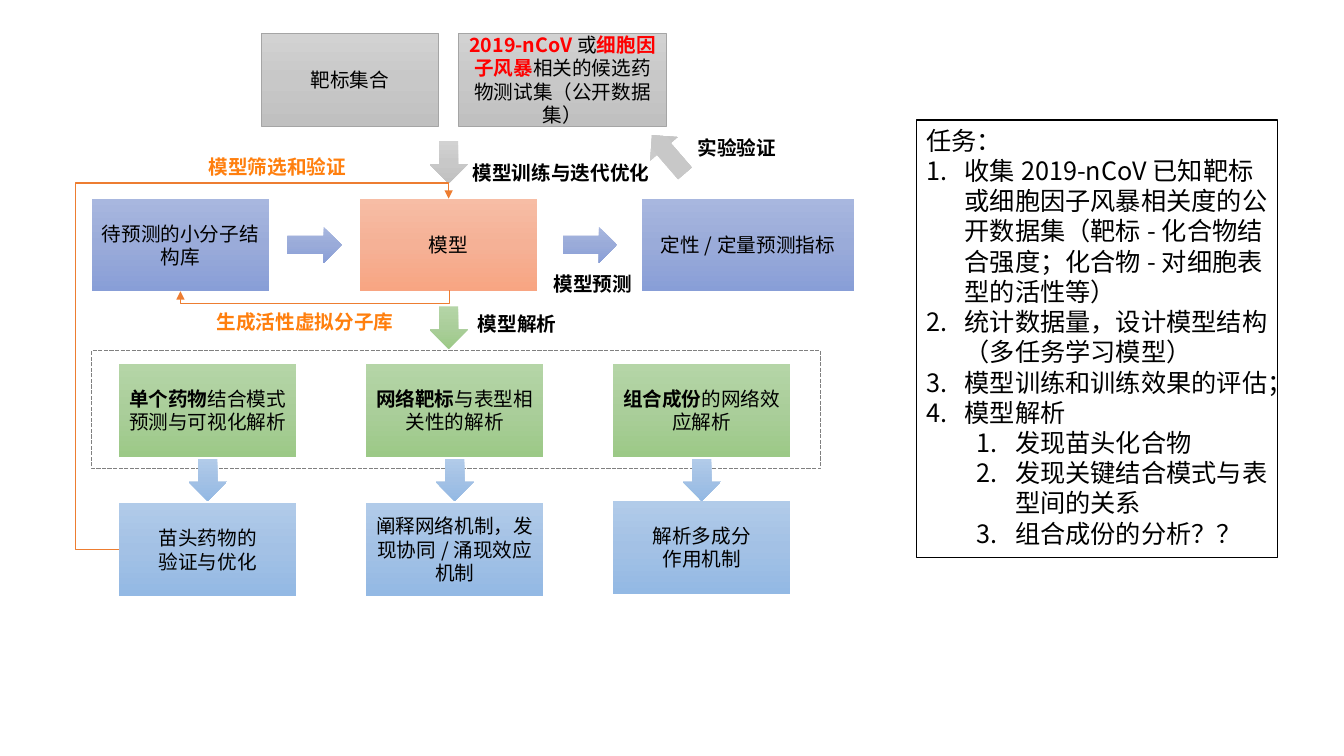
import copy

import lxml.etree
import pptx
import pptx.dml.color
import pptx.enum.dml
import pptx.enum.shapes
import pptx.enum.text
import pptx.oxml
import pptx.oxml.ns
import pptx.util

SCALE = 9144  # EMU in one px, 100 px to the inch
FONT = "Noto Sans CJK SC"
COLOURS = {
    "black": "000000", "white": "FFFFFF", "red": "FF0000", "label": "FF7F0E",
    "loop": "ED7D31", "frame": "808080", "edge": "A5A5A5",
}
GRADIENTS = {
    "grey": ("D2D2D2", "C8C8C8", "C0C0C0"),
    "orange": ("F7BDA5", "F5B196", "F8A582"),
    "indigo": ("A8B7DF", "9AABD9", "889ED7"),
    "green": ("B5D5A7", "AACE9A", "9CC987"),
    "blue": ("B1CBE9", "A3C1E5", "93B9E4"),
}
SHAPE = pptx.enum.shapes.MSO_SHAPE
ALIGN = pptx.enum.text.PP_ALIGN
BOX_WIDTH, BOX_HEIGHT = 176, 92
ARROW_DOWN, ARROW_RIGHT = (38, 42), (54, 36)
BOLD, RED = {"bold": True}, {"bold": True, "colour": "red"}


def px(*lengths):
    return [pptx.util.Emu(length * SCALE) for length in lengths]


def rgb(name):
    return pptx.dml.color.RGBColor.from_string(COLOURS.get(name, name))


def child(parent, tag, **attributes):
    return lxml.etree.SubElement(parent, pptx.oxml.ns.qn(tag), **attributes)


def add_span(para, text, size=14, bold=False, colour="black"):
    span = para.add_run()
    span.text = text
    span.font.size = pptx.util.Pt(size)
    span.font.bold = bold
    span.font.color.rgb = rgb(colour)
    span.font.name = FONT
    child(span.font._element, "a:ea", typeface=FONT)


def write(shape, paragraphs, align=ALIGN.LEFT, **style):
    """Each paragraph is a string or a list of (text, style) spans."""
    frame = shape.text_frame
    frame.word_wrap = True
    for index, content in enumerate(paragraphs):
        para = frame.paragraphs[0] if index == 0 else frame.add_paragraph()
        para.alignment = align
        spans = [(content, {})] if isinstance(content, str) else content
        for text, extra in spans:
            add_span(para, text, **{**style, **extra})
    return frame


def add_block(page, kind, left, top, size, gradient=None, rotation=0):
    block = page.shapes.add_shape(kind, *px(left, top, *size))
    block.shadow.inherit = False
    block.rotation = rotation
    block.line.fill.background()
    if gradient is None:
        block.fill.background()
        return block
    block.fill.gradient()
    block.fill.gradient_angle = 270
    stop_list = block._element.spPr.find(".//" + pptx.oxml.ns.qn("a:gsLst"))
    stop_list.insert(1, copy.deepcopy(stop_list[0]))
    for index, stop in enumerate(block.fill.gradient_stops):
        stop.position = index / 2
        stop.color.rgb = rgb(GRADIENTS[gradient][index])
    return block


def add_box(page, left, top, gradient, paragraphs, width=BOX_WIDTH):
    box = add_block(page, SHAPE.RECTANGLE, left, top, (width, BOX_HEIGHT), gradient)
    frame = write(box, paragraphs, align=ALIGN.CENTER)
    frame.vertical_anchor = pptx.enum.text.MSO_ANCHOR.MIDDLE
    return box


def add_label(page, left, top, width, text, colour="black"):
    label = page.shapes.add_textbox(*px(left, top, width, 36))
    frame = write(label, [text], bold=True, colour=colour)
    frame.auto_size = pptx.enum.text.MSO_AUTO_SIZE.SHAPE_TO_FIT_TEXT


def add_loop(page, start, end, preset, frame, turn, flip, adjustments):
    """Joins two (box, side) pairs with a bent arrow laid out in the given frame."""
    loop = page.shapes.add_connector(pptx.enum.shapes.MSO_CONNECTOR.ELBOW, 0, 0, 0, 0)
    loop.begin_connect(*start)
    loop.end_connect(*end)
    loop.left, loop.top, loop.width, loop.height = px(*frame)
    properties = loop._element.spPr
    transform = properties.find(pptx.oxml.ns.qn("a:xfrm"))
    for name in ("flipH", "flipV"):
        transform.attrib.pop(name, None)
    transform.set("rot", str(turn * 60000))
    if flip:
        transform.set("flipH", "1")
    geometry = properties.find(pptx.oxml.ns.qn("a:prstGeom"))
    geometry.set("prst", preset)
    for old in list(geometry):
        geometry.remove(old)
    guides = child(geometry, "a:avLst")
    for index, value in enumerate(adjustments, 1):
        child(guides, "a:gd", name=f"adj{index}", fmla=f"val {round(value * 100000)}")
    loop.line.color.rgb = rgb("loop")
    loop.line.width = pptx.util.Pt(1)
    child(loop.line._get_or_add_ln(), "a:tailEnd", type="triangle")
    child(properties, "a:effectLst")


def draw_inputs(page, left, top):
    """Data sets that train the model, with the arrows around them."""
    test_set = [("2019-nCoV", RED), ("或", {}), ("细胞因子风暴", RED),
                ("相关的候选药物测试集（公开数据集）", {})]
    boxes = [add_box(page, left, top, "grey", ["靶标集合"]),
             add_box(page, left + 196, top, "grey", [test_set], width=206)]
    for box in boxes:
        box.line.color.rgb = rgb("edge")
        box.line.width = pptx.util.Pt(0.5)
    add_block(page, SHAPE.DOWN_ARROW, left + 167, top + 107, ARROW_DOWN, "grey")
    add_label(page, left + 200, top + 122, 218, "模型训练与迭代优化")
    add_block(page, SHAPE.RIGHT_ARROW, left + 379, top + 102, (50, 36), "grey", 229.2)
    add_label(page, left + 423, top + 97, 102, "实验验证")


def draw_prediction(page, left, top):
    """Library, model and predicted measures, from left to right."""
    model = add_box(page, left + 266, top, "orange", ["模型"])
    library = add_box(page, left, top, "indigo", ["待预测的小分子结构库"])
    add_box(page, left + 546, top, "indigo", ["定性/定量预测指标"], width=210)
    for offset in (194, 467):
        add_block(page, SHAPE.RIGHT_ARROW, left + offset, top + 28, ARROW_RIGHT, "indigo")
    add_label(page, left + 448, top + 68, 138, "模型预测")
    add_block(page, SHAPE.DOWN_ARROW, left + 335, top + 107, ARROW_DOWN, "green")
    add_label(page, left + 373, top + 108, 138, "模型解析")
    return library, model


def draw_analysis(page, left, top):
    """Three analyses in a dashed frame, each leading to its outcome."""
    columns = [
        ("单个药物", "结合模式预测与可视化解析", ["苗头药物的", "验证与优化"], 151),
        ("网络靶标", "与表型相关性的解析", ["阐释网络机制，发现协同/涌现效应机制"], 151),
        ("组合成份", "的网络效应解析", ["解析多成分", "作用机制"], 149),
    ]
    frame = add_block(page, SHAPE.RECTANGLE, left, top, (723, 117))
    frame.line.color.rgb = rgb("frame")
    frame.line.width = pptx.util.Pt(1)
    frame.line.dash_style = pptx.enum.dml.MSO_LINE.SQUARE_DOT
    outcomes = []
    for index, (subject, rest, outcome, drop) in enumerate(columns):
        column = left + 27 + 245 * index
        add_box(page, column, top + 13, "green", [[(subject, BOLD), (rest, {})]])
        middle = column + (BOX_WIDTH - ARROW_DOWN[0]) // 2
        add_block(page, SHAPE.DOWN_ARROW, middle, top + 107, ARROW_DOWN, "blue")
        outcomes.append(add_box(page, column, top + drop, "blue", outcome))
    return outcomes[0]


def draw_feedback(page, left, top, library, model, lead):
    """Orange loops back to the model and to the library."""
    add_loop(page, (lead, 1), (model, 0), "bentConnector4",
             (left + 27, top, 327, 348), 180, True, (-0.132, 1.045))
    add_label(page, left + 106, top - 48, 168, "模型筛选和验证", "label")
    add_loop(page, (model, 2), (library, 2), "bentConnector3",
             (left + 221, top - 42, 1, 267), 90, False, (13.5,))
    add_label(page, left + 114, top + 106, 209, "生成活性虚拟分子库", "label")


def draw_tasks(page, left, top, width, height):
    """Bordered list of numbered tasks."""
    tasks = [
        (0, "收集2019-nCoV已知靶标或细胞因子风暴相关度的公开数据集"
            "（靶标-化合物结合强度；化合物-对细胞表型的活性等）"),
        (0, "统计数据量，设计模型结构（多任务学习模型）"),
        (0, "模型训练和训练效果的评估；"),
        (0, "模型解析"),
        (1, "发现苗头化合物"),
        (1, "发现关键结合模式与表型间的关系"),
        (1, "组合成份的分析？？"),
    ]
    panel = page.shapes.add_textbox(*px(left, top, width, height))
    panel.fill.solid()
    panel.fill.fore_color.rgb = rgb("white")
    panel.line.color.rgb = rgb("black")
    panel.line.width = pptx.util.Pt(1)
    frame = write(panel, ["任务："] + [text for _, text in tasks], size=18)
    frame.auto_size = pptx.enum.text.MSO_AUTO_SIZE.SHAPE_TO_FIT_TEXT
    for para, (level, _) in zip(frame.paragraphs[1:], tasks):
        para.level = level
        properties = para._p.get_or_add_pPr()
        margin, indent = px(38 + 50 * level, -38)
        properties.set("marL", str(margin))
        properties.set("indent", str(indent))
        child(properties, "a:buFont", typeface="+mj-lt")
        child(properties, "a:buAutoNum", type="arabicPeriod")


def main():
    deck = pptx.Presentation()
    deck.slide_width, deck.slide_height = px(1333, 750)
    page = deck.slides.add_slide(deck.slide_layouts[6])
    draw_inputs(page, 259, 33)
    library, model = draw_prediction(page, 91, 197)
    lead = draw_analysis(page, 91, 348)
    draw_feedback(page, 91, 197, library, model, lead)
    draw_tasks(page, 909, 119, 358, 434)
    deck.save("out.pptx")


if __name__ == "__main__":
    main()
